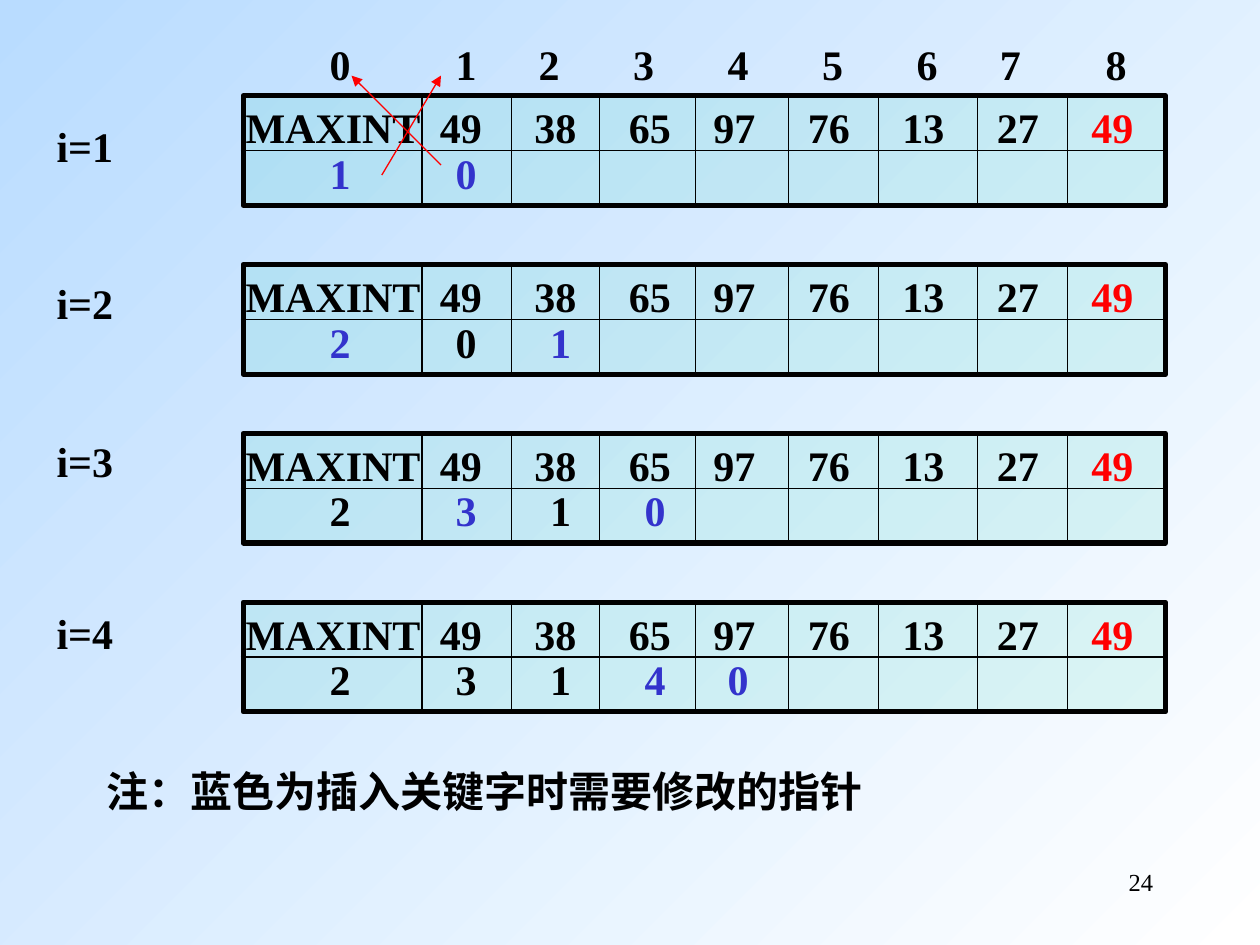
"""Build the static linked list insertion slide, steps i=1 to i=4."""
from dataclasses import dataclass

from lxml import etree
from pptx import Presentation
from pptx.dml.color import RGBColor
from pptx.enum.shapes import MSO_CONNECTOR, MSO_SHAPE
from pptx.enum.text import MSO_AUTO_SIZE, PP_ALIGN
from pptx.oxml.ns import qn
from pptx.util import Inches, Pt

LINE = MSO_CONNECTOR.STRAIGHT
RECT = MSO_SHAPE.RECTANGLE
GROW, FIXED = MSO_AUTO_SIZE.SHAPE_TO_FIT_TEXT, MSO_AUTO_SIZE.NONE
LEFT, RIGHT = PP_ALIGN.LEFT, PP_ALIGN.RIGHT

BLACK = RGBColor(0x00, 0x00, 0x00)
WHITE = RGBColor(0xFF, 0xFF, 0xFF)
RED = RGBColor(0xFF, 0x00, 0x00)
BLUE = RGBColor(0x33, 0x33, 0xCC)
GREEN = RGBColor(0x00, 0xCC, 0x99)
SKY = RGBColor(0xB9, 0xDC, 0xFF)

BOLD = {"name": "Times New Roman", "size": Pt(24), "bold": True}
PLAIN = {"name": "Times New Roman", "size": Pt(14), "bold": False}

GRID_TOP, GRID_PITCH, GRID_H = 0.76, 1.34, 0.87
ROW_LEFT, ROW_W, ROW_H = 1.85, 7.48, 0.5
INSET = 0.1
DIVIDERS = (3.35, 4.06, 4.76, 5.52, 6.26, 6.97, 7.76, 8.47)
INDEX_CENTERS = (2.7, 3.7, 4.36, 5.11, 5.86, 6.61, 7.36, 8.02, 8.86)
KEY_CENTERS = (3.66, 4.41, 5.16, 5.83, 6.58, 7.33, 8.08, 8.83)
POINTER_CENTERS = (2.7, 3.7, 4.45, 5.2, 5.86)


@dataclass
class Entry:
    text: str
    color: RGBColor = BLACK


@dataclass
class Step:
    label: str
    label_top: float
    pointers: list[Entry]


KEYS = [Entry(t) for t in ("MAXINT", "49", "38", "65", "97", "76", "13", "27")]
KEYS.append(Entry("49", RED))
STEPS = [
    Step("i=1", 0.91, [Entry("1", BLUE), Entry("0", BLUE)]),
    Step("i=2", 2.15, [Entry("2", BLUE), Entry("0"), Entry("1", BLUE)]),
    Step("i=3", 3.41, [Entry("2"), Entry("3", BLUE), Entry("1"), Entry("0", BLUE)]),
    Step("i=4", 4.77, [Entry("2"), Entry("3"), Entry("1"), Entry("4", BLUE),
                       Entry("0", BLUE)]),
]


def add_text(s, x: float, y: float, w: float, entries: list[Entry],
             centers: tuple = (), fmt: dict = BOLD, align=LEFT, fit=GROW) -> None:
    """Add a text line whose last entries sit on centred tab stops."""
    tf = s.shapes.add_textbox(Inches(x), Inches(y), Inches(w), Inches(ROW_H)).text_frame
    tf.word_wrap, tf.auto_size = True, fit
    p = tf.paragraphs[0]
    p.alignment = align
    if centers:
        tabs = etree.SubElement(p._p.get_or_add_pPr(), qn("a:tabLst"))
        for center in centers:
            pos = Inches(center - x - INSET)
            etree.SubElement(tabs, qn("a:tab"), pos=str(pos), algn="ctr")
    untabbed = max(len(entries) - len(centers), 0)
    for i, entry in enumerate(entries):
        r = p.add_run()
        r.text = "\t" + entry.text if centers and i >= untabbed else entry.text
        r.font.color.rgb = entry.color
        for name, value in fmt.items():
            setattr(r.font, name, value)


def add_line(s, start: tuple, end: tuple, color: RGBColor = BLACK,
             arrow: bool = False) -> None:
    """Add a thin straight line, with an optional arrowhead at its end."""
    sp = s.shapes.add_connector(LINE, *map(Inches, start + end))
    sp.line.color.rgb = color
    sp.line.width = Pt(0.75)
    if arrow:
        etree.SubElement(sp.line._get_or_add_ln(), qn("a:tailEnd"), type="triangle")
    etree.SubElement(sp._element.spPr, qn("a:effectLst"))


def add_grid(s, top: float) -> None:
    """Add the framed two-row grid of nine columns."""
    sp = s.shapes.add_shape(RECT, Inches(1.93), Inches(top), Inches(7.32), Inches(GRID_H))
    sp.shadow.inherit = False
    sp.fill.solid()
    sp.fill.fore_color.rgb = GREEN
    fill_color = sp._element.spPr.find(".//" + qn("a:srgbClr"))
    etree.SubElement(fill_color, qn("a:alpha"), val="10000")
    sp.line.color.rgb = BLACK
    sp.line.width = Pt(3)
    middle = top + GRID_H / 2
    add_line(s, (1.91, middle), (9.27, middle))
    for x in DIVIDERS:
        add_line(s, (x, top), (x, top + GRID_H))


def add_step(s, step: Step, top: float) -> None:
    """Add one step with its grid, keys, pointers and label."""
    add_grid(s, top)
    add_text(s, ROW_LEFT, top, ROW_W, KEYS, KEY_CENTERS)
    add_text(s, ROW_LEFT, top + 0.36, ROW_W, step.pointers,
             POINTER_CENTERS[:len(step.pointers)])
    add_text(s, 0.35, step.label_top, 1.18, [Entry(step.label)])


def main() -> None:
    """Build and save the slide."""
    prs = Presentation()
    prs.slide_width, prs.slide_height = Inches(10), Inches(7.5)
    s = prs.slides.add_slide(prs.slide_layouts[6])
    fill = s.background.fill
    fill.gradient()
    fill.gradient_angle = 135
    for stop, color in zip(fill.gradient_stops, (WHITE, SKY)):
        stop.color.rgb = color

    indexes = [Entry(str(i)) for i in range(len(INDEX_CENTERS))]
    add_text(s, ROW_LEFT, 0.26, ROW_W, indexes, INDEX_CENTERS)
    for i, step in enumerate(STEPS):
        add_step(s, step, GRID_TOP + i * GRID_PITCH)
    add_line(s, (3.03, 1.39), (3.5, 0.6), RED, arrow=True)
    add_line(s, (3.5, 1.31), (2.79, 0.6), RED, arrow=True)
    add_text(s, 0.75, 6.03, 8.5, [Entry("注：蓝色为插入关键字时需要修改的指针")])
    add_text(s, 7.17, 6.83, 2.08, [Entry("24")], fmt=PLAIN, align=RIGHT, fit=FIXED)
    prs.save("out.pptx")


if __name__ == "__main__":
    main()
